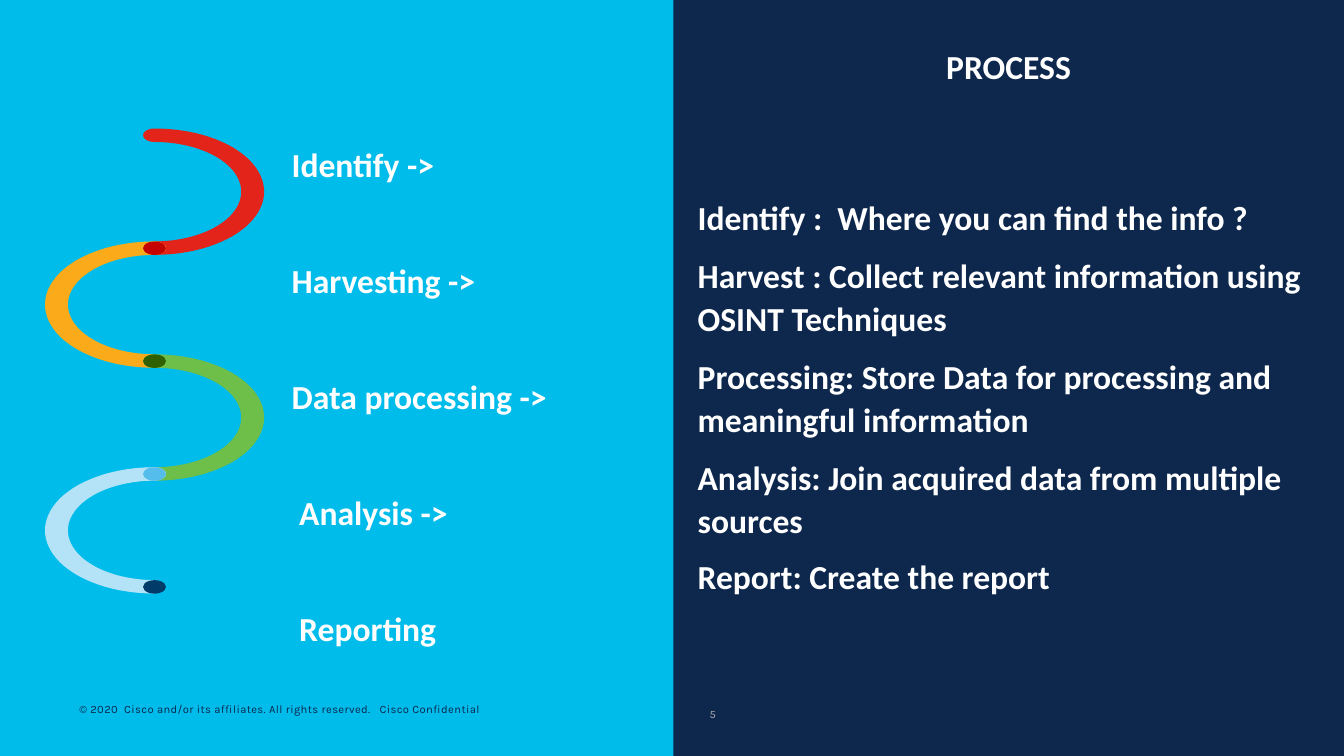
import math
import pptx
import pptx.util
import pptx.dml.color
import pptx.enum.shapes
import pptx.enum.text
from dataclasses import dataclass

UNIT = pptx.util.Inches(0.1)  # one grid column or row
COLS, ROWS = 100, 56.25
ANCHOR = pptx.enum.text.MSO_ANCHOR
KIND = pptx.enum.shapes.MSO_SHAPE


@dataclass(frozen=True)
class Theme:
    navy: str = "0D274D"
    cyan: str = "00BCEB"
    white: str = "FFFFFF"
    grey: str = "A6A6A6"
    bands: tuple = ("E3241B", "FBAB1A", "6EBE4A", "B4E2F6")
    dots: tuple = ("C50401", "2F6002", "55BDEB", "003B6A")
    main: str = "Calibri"
    small: str = "Karla"
    size: int = 18
    note: int = 6
    lead: float = 1.07
    gap: int = 8


THEME = Theme()
STEPS = ["Identify ->", "Harvesting ->", "Data processing ->", " Analysis ->", " Reporting"]
NOTES = [
    "Identify :  Where you can find the info ?",
    "Harvest : Collect relevant information using OSINT Techniques",
    "Processing: Store Data for processing and meaningful information",
    "Analysis: Join acquired data from multiple sources",
    "Report: Create the report",
]


def grid(*cells):
    return [round(cell * UNIT) for cell in cells]


def color(code):
    return pptx.dml.color.RGBColor.from_string(code)


def paint(shape, code, edge=True):
    shape.shadow.inherit = False
    shape.fill.solid()
    shape.fill.fore_color.rgb = color(code)
    if edge:
        shape.line.color.rgb = color(code)
        shape.line.width = pptx.util.Pt(0.75)
    else:
        shape.line.fill.background()


def write(para, text, face, size, code, bold=False):
    run = para.add_run()
    run.text = text
    run.font.name = face
    run.font.size = pptx.util.Pt(size)
    run.font.bold = bold
    run.font.color.rgb = color(code)
    return run


def fill_text(frame, lines, inset=1, gap=THEME.gap):
    """Write bold lines into a frame, with an inset in columns."""
    frame.word_wrap = True
    frame.auto_size = pptx.enum.text.MSO_AUTO_SIZE.NONE
    frame.vertical_anchor = ANCHOR.TOP
    frame.margin_left, frame.margin_right = grid(inset, 1)
    frame.margin_top, frame.margin_bottom = grid(0.5, 0.5)
    for i, line in enumerate(lines):
        para = frame.paragraphs[0] if i == 0 else frame.add_paragraph()
        para.alignment = pptx.enum.text.PP_ALIGN.LEFT
        para.line_spacing = THEME.lead
        para.space_before = pptx.util.Pt(0)
        para.space_after = pptx.util.Pt(gap)
        write(para, line, THEME.main, THEME.size, THEME.white, True)


def add_title(slide, box):
    title = slide.shapes.title
    title.left, title.top, title.width, title.height = grid(*box)
    fill_text(title.text_frame, ["PROCESS"], inset=26)


def add_panel(slide, box):
    panel = slide.shapes.add_shape(KIND.RECTANGLE, *grid(*box))
    paint(panel, THEME.cyan, edge=False)


def add_notes(slide, box):
    frame = slide.shapes.add_textbox(*grid(*box)).text_frame
    fill_text(frame, NOTES)
    frame.paragraphs[-1].line_spacing = 1.0


def add_steps(slide, box):
    frame = slide.shapes.add_textbox(*grid(*box)).text_frame
    fill_text(frame, STEPS, inset=11, gap=39.1)


def add_small(slide, box, text, code, wrap):
    frame = slide.shapes.add_textbox(*grid(*box)).text_frame
    frame.word_wrap = wrap
    frame.vertical_anchor = ANCHOR.BOTTOM
    frame.margin_left, frame.margin_right = grid(0.7, 0.7)
    frame.margin_top, frame.margin_bottom = grid(0.3, 0.3)
    run = write(frame.paragraphs[0], text, THEME.small, THEME.note, code)
    run._r.get_or_add_rPr().set("spc", "20")


def arc(x, y, rx, ry, start, end, count=48):
    """Points along an ellipse; angles in degrees, clockwise from the right."""
    turns = [math.radians(start + (end - start) * i / count) for i in range(count + 1)]
    return [(x + rx * math.cos(a), y + ry * math.sin(a)) for a in turns]


def add_wave(slide, box):
    """Stack half rings that swing right and left, joined by dots."""
    left, top, width, height = box
    capx, capy = 0.8, 0.45
    pitch = (height - 2 * capy) / len(THEME.bands)
    rx, ry = width / 2 - capx, pitch / 2
    mid = left + width / 2

    # Bands
    for i, code in enumerate(THEME.bands):
        side = 1 if i % 2 == 0 else -1
        y = top + capy + pitch * (i + 0.5)
        points = arc(mid, y, side * (rx + capx), ry + capy, -90, 90)
        points += arc(mid, y, side * (rx - capx), ry - capy, 90, -90)
        points += arc(mid, y - ry, side * capx, capy, 90, 270, 12)
        first, *rest = [tuple(grid(*point)) for point in points]
        path = slide.shapes.build_freeform(*first)
        path.add_line_segments(rest, close=True)
        paint(path.convert_to_shape(), code)

    # Joints
    for i, code in enumerate(THEME.dots, 1):
        spot = grid(mid - capx, top + pitch * i, 2 * capx, 2 * capy)
        paint(slide.shapes.add_shape(KIND.OVAL, *spot), code)


def main():
    deck = pptx.Presentation()
    deck.slide_width, deck.slide_height = grid(COLS, ROWS)
    slide = deck.slides.add_slide(deck.slide_layouts[5])
    slide.background.fill.solid()
    slide.background.fill.fore_color.rgb = color(THEME.navy)

    add_panel(slide, (0, 0, 50.1, ROWS))
    add_small(slide, (52.1, 52.25, 2.4, 1.7), "5", THEME.grey, False)
    add_small(
        slide, (5.2, 51.85, 37.9, 1.7),
        "© 2020  Cisco and/or its affiliates. All rights reserved.   Cisco Confidential",
        THEME.navy, True)
    add_title(slide, (44.4, 2.7, 37.5, 4.1))
    add_notes(slide, (50.93, 13.94, 49.07, 31.2))
    add_steps(slide, (10.7, 10, 37.5, 39))
    add_wave(slide, (3.4, 9.62, 16.2, 34.5))
    deck.save("out.pptx")


if __name__ == "__main__":
    main()
